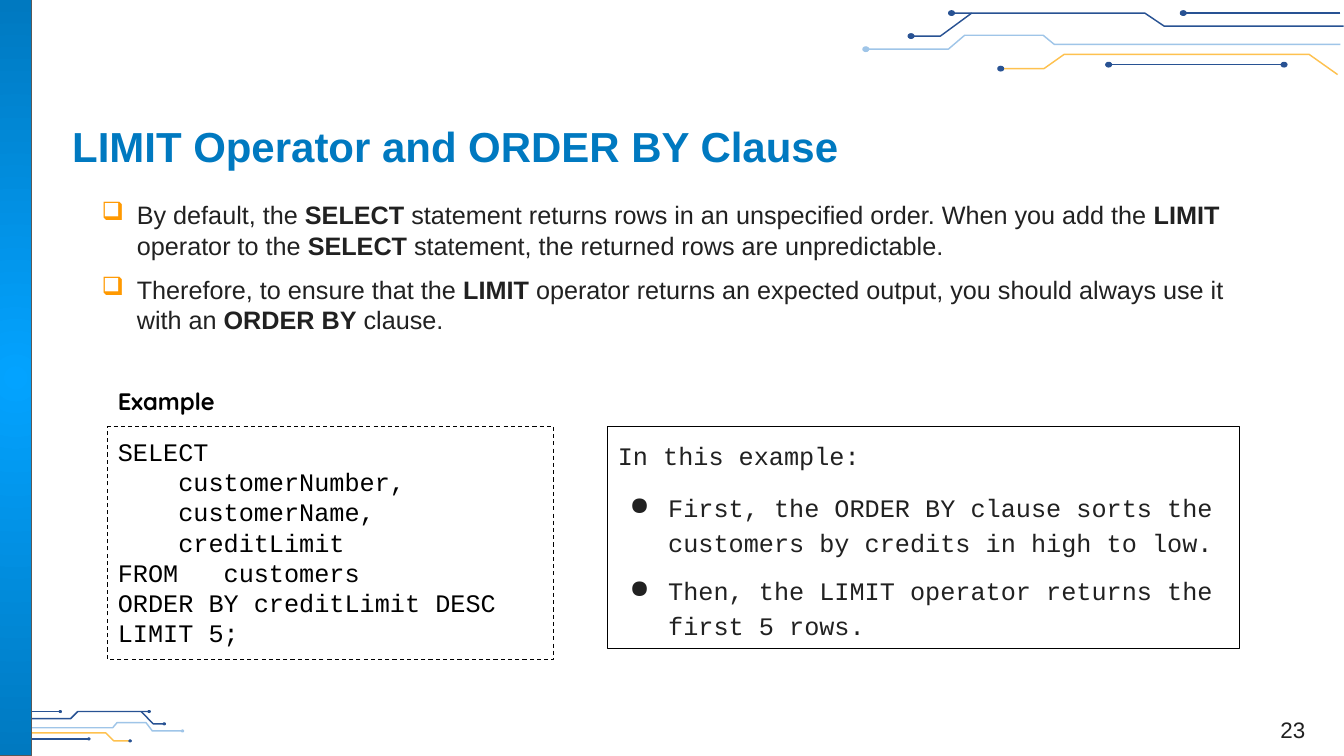
from dataclasses import dataclass

from lxml import etree
from pptx import Presentation
from pptx import util as u
from pptx.dml import color
from pptx.enum import dml, shapes, text
from pptx.oxml import ns


@dataclass(frozen=True)
class Theme:
    blue: str = "0079C0"
    bright: str = "03A3FF"
    navy: str = "285293"
    pale: str = "9FC5E8"
    gold: str = "FEC14F"
    orange: str = "FF9900"
    grey: str = "595959"
    ink: str = "212121"
    black: str = "000000"
    sans: str = "Arial"
    mono: str = "Courier New"
    label: str = "Quicksand"
    title_pt: float = 30
    body_pt: float = 18
    label_pt: float = 17
    number_pt: float = 16
    line_pt: float = 0.75
    trace_pt: float = 1.03


T = Theme()
rgb = color.RGBColor.from_string

prs = Presentation()
prs.slide_width, prs.slide_height = u.Cm(33.87), u.Cm(19.05)
s = prs.slides.add_slide(prs.slide_layouts[6])


def paint(sp, fill=None, line=None, width=T.line_pt):
    """Set fill and outline of a shape; None leaves the part empty."""
    sp.shadow.inherit = False
    if fill:
        sp.fill.solid()
        sp.fill.fore_color.rgb = rgb(fill)
    else:
        sp.fill.background()
    if line:
        sp.line.color.rgb = rgb(line)
        sp.line.width = u.Pt(width)


def write(sp, paragraphs, font, size, ink, bullet=None, hang=0, pad=0.25):
    """Fill a box; a paragraph is (options, runs), a run is (words, bold)."""
    tf = sp.text_frame
    tf.word_wrap = True
    tf.vertical_anchor = text.MSO_ANCHOR.TOP
    tf.margin_left = tf.margin_right = u.Cm(0.25)
    tf.margin_top = tf.margin_bottom = u.Cm(pad)
    for i, (options, runs) in enumerate(paragraphs):
        p = tf.paragraphs[0] if i == 0 else tf.add_paragraph()
        p.alignment = options.get("align", text.PP_ALIGN.LEFT)
        p.line_spacing = options.get("spacing", 1.0)
        p.space_before = u.Pt(options.get("before", 0))
        if bullet and options.get("bulleted", True):
            char, bullet_ink = bullet
            pPr = p._p.get_or_add_pPr()
            pPr.set("marL", str(u.Cm(1.27)))
            pPr.set("indent", str(-u.Cm(hang)))
            clr = etree.SubElement(pPr, ns.qn("a:buClr"))
            etree.SubElement(clr, ns.qn("a:srgbClr"), val=bullet_ink)
            etree.SubElement(pPr, ns.qn("a:buChar"), char=char)
        for words, bold in runs:
            r = p.add_run()
            r.text = words
            r.font.name, r.font.size, r.font.bold = font, u.Pt(size), bold
            r.font.color.rgb = rgb(ink)


# Circuit traces: dot size, then (line colour, dot colour, points, dots at the end of the list)
top_right = [
    (T.navy, T.navy, [(33.86, 0.66), (29.34, 0.66), (28.85, 0.33), (23.98, 0.33)], 1),
    (T.navy, T.navy, [(24.49, 0.33), (23.7, 0.91), (22.96, 0.91)], 1),
    (T.navy, T.navy, [(33.78, 0.33), (29.82, 0.33)], 1),
    (T.gold, T.navy, [(33.71, 1.88), (32.99, 1.37), (26.82, 1.37), (26.31, 1.73), (25.22, 1.73)], 1),
    (T.navy, T.navy, [(32.36, 1.63), (27.94, 1.63)], 2),
    (T.pale, T.pale, [(33.78, 1.12), (26.57, 1.12), (26.29, 0.89), (24.31, 0.89),
                      (23.9, 1.24), (21.82, 1.24)], 1),
]
bottom_left = [
    (T.navy, T.navy, [(0.1, 18.11), (1.78, 18.11), (1.96, 17.93), (3.76, 17.93)], 1),
    (T.navy, T.navy, [(3.56, 17.93), (3.86, 18.24), (4.14, 18.24)], 1),
    (T.navy, T.navy, [(0, 17.93), (1.52, 17.93)], 1),
    (T.gold, T.navy, [(0.03, 18.75), (0.3, 18.47), (2.67, 18.47), (2.87, 18.67), (3.28, 18.67)], 1),
    (T.navy, T.navy, [(0.53, 18.62), (2.24, 18.62)], 1),
    (T.pale, T.pale, [(0.2, 18.34), (2.84, 18.34), (2.95, 18.21), (3.68, 18.21),
                      (3.84, 18.42), (4.6, 18.42)], 1),
]
for dot_w, dot_h, traces in [(0.15, 0.12, top_right), (0.06, 0.05, bottom_left)]:
    for line_ink, dot_ink, points, dots in traces:
        corners = [(u.Cm(x), u.Cm(y)) for x, y in points]
        builder = s.shapes.build_freeform(*corners[0])
        builder.add_line_segments(corners[1:], close=False)
        paint(builder.convert_to_shape(), line=line_ink, width=T.trace_pt)
        for x, y in points[-dots:]:
            dot = s.shapes.add_shape(shapes.MSO_SHAPE.OVAL, u.Cm(x - dot_w / 2),
                                     u.Cm(y - dot_h / 2), u.Cm(dot_w), u.Cm(dot_h))
            paint(dot, fill=dot_ink, line=dot_ink)

# Side bar, glowing from its centre
bar = s.shapes.add_shape(shapes.MSO_SHAPE.RECTANGLE, 0, 0, u.Cm(0.8), prs.slide_height)
paint(bar, line=T.grey)
bar.fill.gradient()
for stop, ink in zip(bar.fill.gradient_stops, (T.bright, T.blue)):
    stop.color.rgb = rgb(ink)
grad = bar.element.spPr.find(ns.qn("a:gradFill"))
grad.remove(grad.find(ns.qn("a:lin")))
glow = etree.SubElement(grad, ns.qn("a:path"), {"path": "circle"})
etree.SubElement(glow, ns.qn("a:fillToRect"), {side: "50000" for side in "ltrb"})

# Title
title = s.shapes.add_textbox(u.Cm(1.57), u.Cm(2.69), u.Cm(30.07), u.Cm(1.96))
write(title, [({}, [("LIMIT Operator and ORDER BY Clause", True)])], T.sans, T.title_pt, T.blue)
title.text_frame.vertical_anchor = text.MSO_ANCHOR.MIDDLE

# Explanation
body = s.shapes.add_textbox(u.Cm(1.93), u.Cm(4.78), u.Cm(30.33), u.Cm(4.55))
write(body, [
    ({}, [("By default, the ", False), ("SELECT ", True),
          ("statement returns rows in an unspecified order. When you add the ", False),
          ("LIMIT ", True), ("operator to the ", False), ("SELECT ", True),
          ("statement, the returned rows are unpredictable.", False)]),
    ({"before": 10}, [("Therefore, to ensure that the ", False), ("LIMIT ", True),
                      ("operator returns an expected output, you should always use it with an ", False),
                      ("ORDER BY", True), (" clause.", False)]),
], T.sans, T.body_pt, T.ink, bullet=("❑", T.orange), hang=0.89)

# Slide number
number = s.shapes.add_textbox(u.Cm(31.5), u.Cm(17.35), u.Cm(2.16), u.Cm(1.5))
write(number, [({"align": text.PP_ALIGN.CENTER}, [("23", False)])],
      T.sans, T.number_pt, T.ink, pad=0.13)
number.text_frame.vertical_anchor = text.MSO_ANCHOR.BOTTOM

# Example label and query
label = s.shapes.add_textbox(u.Cm(2.72), u.Cm(9.5), u.Cm(5.61), u.Cm(1.24))
write(label, [({}, [("Example", True)])], T.label, T.label_pt, T.black)

query = """SELECT
    customerNumber,
    customerName,
    creditLimit
FROM   customers
ORDER BY creditLimit DESC
LIMIT 5;"""
code = s.shapes.add_shape(shapes.MSO_SHAPE.RECTANGLE, u.Cm(2.72), u.Cm(10.74), u.Cm(11.23), u.Cm(5.89))
paint(code, line=T.black)
code.line.dash_style = dml.MSO_LINE.DASH
write(code, [({}, [(row, False)]) for row in query.splitlines()], T.mono, T.body_pt, T.black)

# Notes on the query
notes = s.shapes.add_shape(shapes.MSO_SHAPE.RECTANGLE, u.Cm(15.32), u.Cm(10.74), u.Cm(15.93), u.Cm(5.61))
paint(notes, line=T.black)
write(notes, [
    ({"spacing": 1.15, "bulleted": False}, [("In this example:", False)]),
    ({"spacing": 1.15, "before": 12},
     [("First, the ORDER BY clause sorts the customers by credits in high to low.", False)]),
    ({"spacing": 1.15, "before": 10},
     [("Then, the LIMIT operator returns the first 5 rows.", False)]),
], T.mono, T.body_pt, T.ink, bullet=("●", T.ink), hang=0.97)

prs.save("out.pptx")
